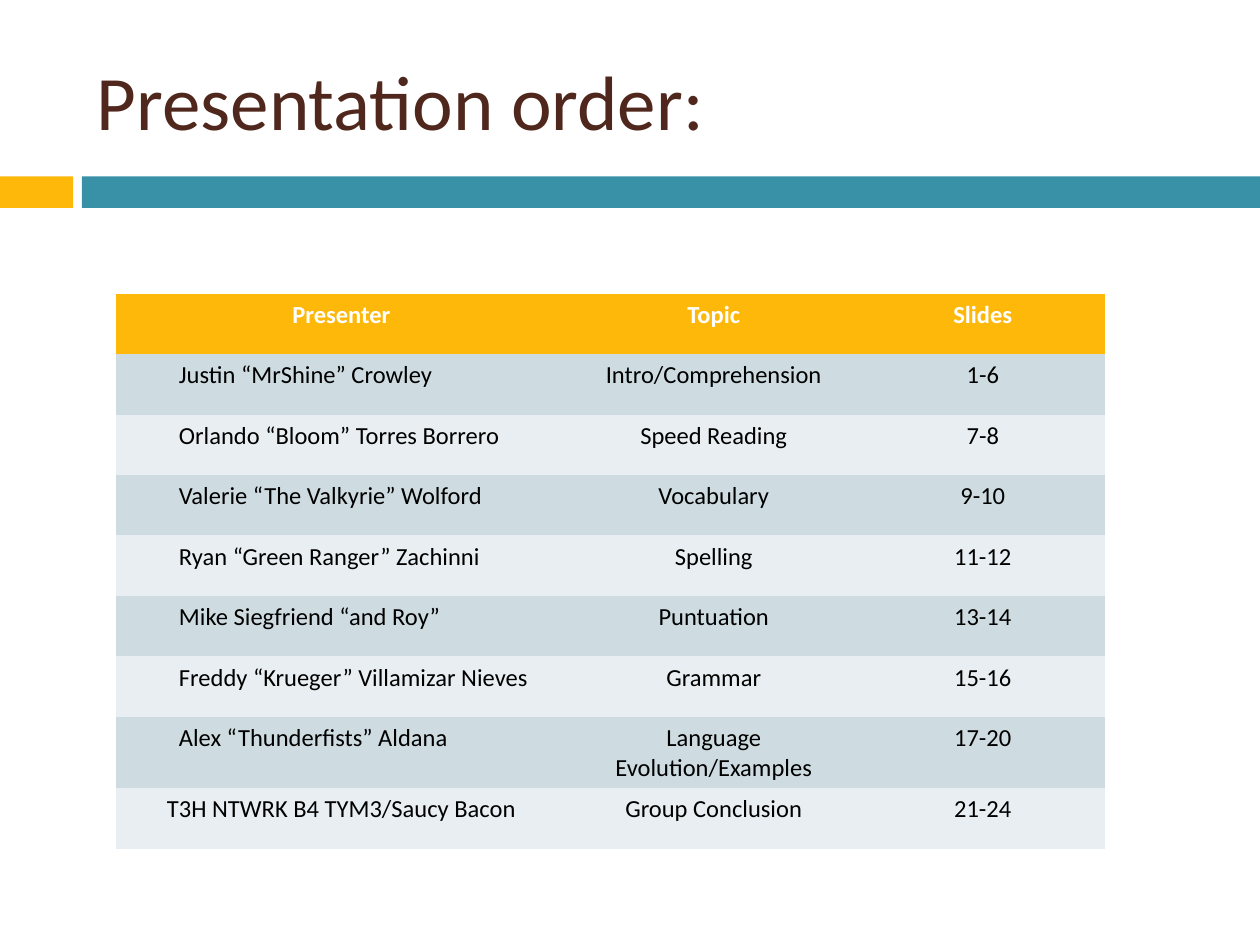
import pptx
import pptx.util
import pptx.dml.color
import pptx.enum.shapes
import pptx.enum.text
import pptx.oxml.ns

Inches = pptx.util.Inches
ALIGN = pptx.enum.text.PP_ALIGN
ANCHOR = pptx.enum.text.MSO_ANCHOR

TITLE = "Presentation order:"
HEADINGS = ("Presenter", "Topic", "Slides")
PRESENTERS = [
    ("Justin “MrShine” Crowley", "Intro/Comprehension", "1-6"),
    ("Orlando “Bloom” Torres Borrero", "Speed Reading", "7-8"),
    ("Valerie “The Valkyrie” Wolford", "Vocabulary", "9-10"),
    ("Ryan “Green Ranger” Zachinni", "Spelling", "11-12"),
    ("Mike Siegfriend “and Roy”", "Puntuation", "13-14"),
    ("Freddy “Krueger” Villamizar Nieves", "Grammar", "15-16"),
    ("Alex “Thunderfists” Aldana", "Language Evolution/Examples", "17-20"),
]
CONCLUSION = ("T3H NTWRK B4 TYM3/Saucy Bacon", "Group Conclusion", "21-24")

THEME = {
    "font": "Calibri",
    "title_size": 44,
    "table_size": 14,
    "title": "4F271C",
    "accent": "FEB80A",
    "bar": "3891A7",
    "heading": "FFFFFF",
    "body": "000000",
    "bands": ("CEDCE1", "E8EEF1"),
}

SLIDE_SIZE = (10, 7.5)
BAR_TOP, BAR_HEIGHT = 1.4, 0.25
BARS = [(0, 0.58, THEME["accent"]), (0.65, 9.35, THEME["bar"])]
TITLE_BOX = (0.67, 0.25, 8.92, 1.08)
TABLE_LEFT, TABLE_TOP = 0.92, 2.33
COLUMN_WIDTHS = (3.58, 2.33, 1.94)
ROW_HEIGHT = 0.48
NAME_INDENT = 0.4
PLAIN_TABLE_STYLE = "{2D5ABB26-0587-4C30-8999-92F81FD0307C}"


def rgb(value):
    return pptx.dml.color.RGBColor.from_string(value)


def write_text(frame, text, size, color, bold=False, align=ALIGN.LEFT, indent=0):
    paragraph = frame.paragraphs[0]
    paragraph.alignment = align
    if indent:
        properties = paragraph._p.get_or_add_pPr()
        properties.set("marL", str(Inches(indent)))
        properties.set("indent", "0")
    run = paragraph.add_run()
    run.text = text
    run.font.name = THEME["font"]
    run.font.size = pptx.util.Pt(size)
    run.font.bold = bold
    run.font.color.rgb = rgb(color)


def add_bars(slide):
    for left, width, color in BARS:
        shape = slide.shapes.add_shape(
            pptx.enum.shapes.MSO_SHAPE.RECTANGLE,
            Inches(left), Inches(BAR_TOP), Inches(width), Inches(BAR_HEIGHT))
        shape.shadow.inherit = False
        shape.fill.solid()
        shape.fill.fore_color.rgb = rgb(color)
        shape.line.fill.background()


def add_title(slide):
    frame = slide.shapes.add_textbox(*map(Inches, TITLE_BOX)).text_frame
    frame.word_wrap = True
    frame.vertical_anchor = ANCHOR.MIDDLE
    write_text(frame, TITLE, THEME["title_size"], THEME["title"])


def add_order_table(slide):
    rows = [HEADINGS, *PRESENTERS, CONCLUSION]
    table = slide.shapes.add_table(
        len(rows), len(HEADINGS), Inches(TABLE_LEFT), Inches(TABLE_TOP),
        Inches(sum(COLUMN_WIDTHS)), Inches(ROW_HEIGHT * len(rows))).table
    table.horz_banding = False
    table._tbl.tblPr.find(pptx.oxml.ns.qn("a:tableStyleId")).text = PLAIN_TABLE_STYLE
    for column, width in zip(table.columns, COLUMN_WIDTHS):
        column.width = Inches(width)
    for row_index, values in enumerate(rows):
        table.rows[row_index].height = Inches(ROW_HEIGHT)
        is_heading = row_index == 0
        fill = THEME["accent"] if is_heading else THEME["bands"][(row_index - 1) % 2]
        color = THEME["heading"] if is_heading else THEME["body"]
        for column_index, value in enumerate(values):
            cell = table.cell(row_index, column_index)
            cell.fill.solid()
            cell.fill.fore_color.rgb = rgb(fill)
            is_name = column_index == 0 and values in PRESENTERS
            write_text(cell.text_frame, value, THEME["table_size"], color,
                       bold=is_heading,
                       align=ALIGN.LEFT if is_name else ALIGN.CENTER,
                       indent=NAME_INDENT if is_name else 0)


def main():
    presentation = pptx.Presentation()
    presentation.slide_width, presentation.slide_height = map(Inches, SLIDE_SIZE)
    slide = presentation.slides.add_slide(presentation.slide_layouts[6])
    add_bars(slide)
    add_title(slide)
    add_order_table(slide)
    presentation.save("out.pptx")


if __name__ == "__main__":
    main()
